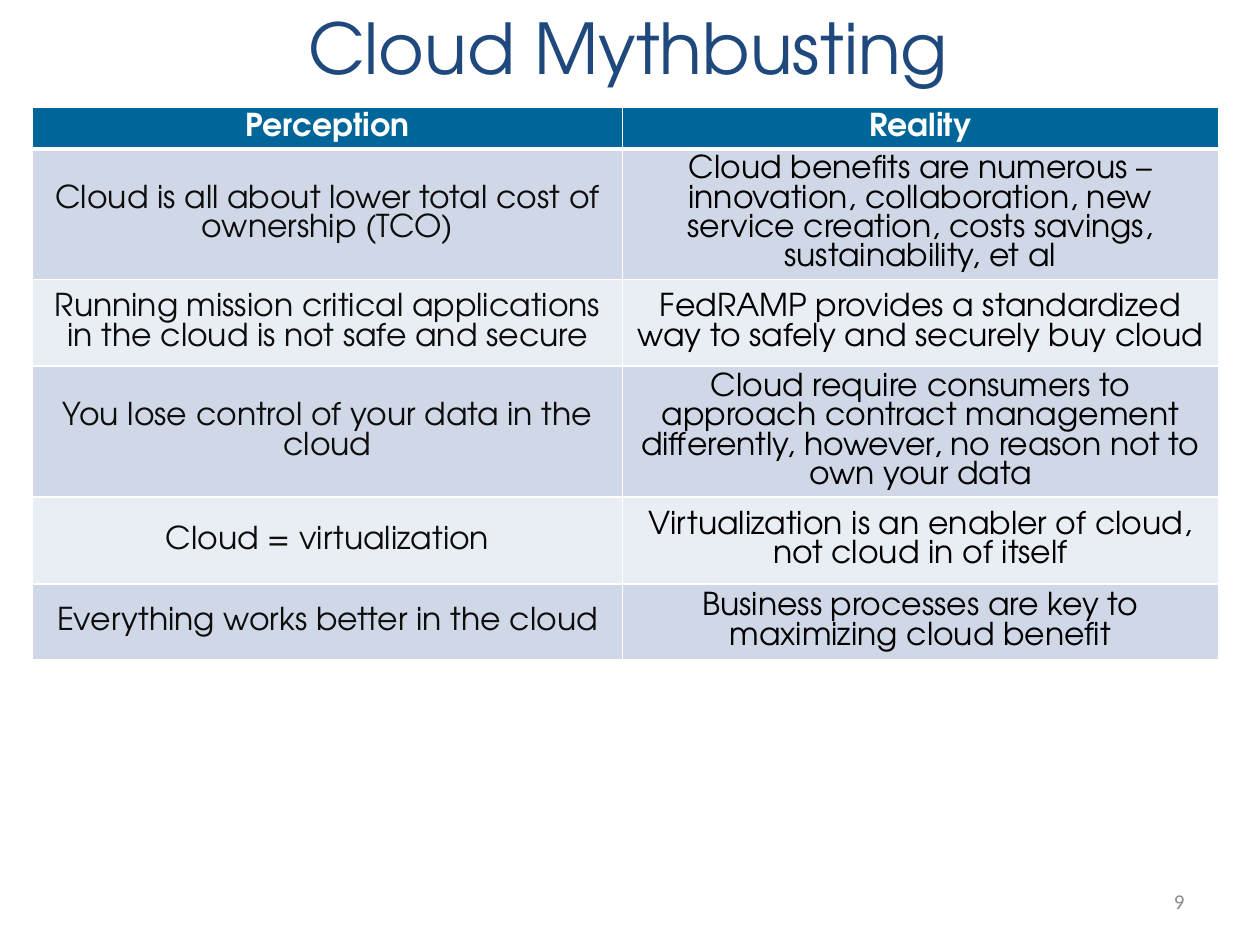
import pptx
import pptx.dml.color
import pptx.enum.text
import pptx.oxml
import pptx.oxml.ns
import pptx.util
from pptx.util import Inches

CENTER = pptx.enum.text.PP_ALIGN.CENTER
RIGHT = pptx.enum.text.PP_ALIGN.RIGHT
MIDDLE = pptx.enum.text.MSO_ANCHOR.MIDDLE
TOP = pptx.enum.text.MSO_ANCHOR.TOP


def color(hex_value):
    return pptx.dml.color.RGBColor.from_string(hex_value)


class MythSlide:
    heading_font = "TeX Gyre Adventor"
    number_font = "Calibri"
    header_fill = "006699"
    band_fills = ("D0D8E8", "E9EDF4")
    rule_color = "FFFFFF"
    column_inks = ("0D0D0D", "000000")

    def __init__(self, deck):
        self.slide = deck.slides.add_slide(deck.slide_layouts[5])

    def set_text(self, frame, text, size, ink, font=heading_font, align=CENTER, bold=False):
        frame.word_wrap = True
        paragraph = frame.paragraphs[0]
        paragraph.text = text
        paragraph.alignment = align
        paragraph.font.name = font
        paragraph.font.size = pptx.util.Pt(size)
        paragraph.font.bold = bold
        paragraph.font.color.rgb = color(ink)
        return paragraph

    def title(self, text, left, top, width, height):
        heading = self.slide.shapes.title
        heading.left, heading.top = Inches(left), Inches(top)
        heading.width, heading.height = Inches(width), Inches(height)
        heading.text_frame.vertical_anchor = MIDDLE
        self.set_text(heading.text_frame, text, 40, "1F497D")

    def page_number(self, text, left, top, width, height):
        box = self.slide.shapes.add_textbox(
            Inches(left), Inches(top), Inches(width), Inches(height))
        box.text_frame.vertical_anchor = MIDDLE
        self.set_text(box.text_frame, text, 12, "8C8C8C", self.number_font, RIGHT)

    def border(self, cell, side, points):
        properties = cell._tc.get_or_add_tcPr()
        properties.append(pptx.oxml.parse_xml(
            f'<a:{side} {pptx.oxml.ns.nsdecls("a")} w="{pptx.util.Pt(points)}">'
            f'<a:solidFill><a:srgbClr val="{self.rule_color}"/></a:solidFill></a:{side}>'))

    def cell(self, cell, text, row, column):
        is_header = row == 0
        top_rule = 3 if row == 1 else 1
        bottom_rule = 3 if is_header else 1
        for side, points in (("lnL", 1), ("lnR", 1), ("lnT", top_rule), ("lnB", bottom_rule)):
            self.border(cell, side, points)
        cell.fill.solid()
        cell.fill.fore_color.rgb = color(
            self.header_fill if is_header else self.band_fills[(row - 1) % 2])
        cell.vertical_anchor = TOP if is_header else MIDDLE
        ink = "FFFFFF" if is_header else self.column_inks[column]
        paragraph = self.set_text(cell.text_frame, text, 18, ink, bold=is_header)
        if not is_header and column == 0:
            paragraph.space_before = pptx.util.Pt(6)
            paragraph.space_after = pptx.util.Pt(12)

    def table(self, entries, left, top, widths, heights):
        grid = self.slide.shapes.add_table(
            len(heights), len(widths), Inches(left), Inches(top),
            Inches(sum(widths)), Inches(sum(heights))).table
        for column, width in zip(grid.columns, widths):
            column.width = Inches(width)
        for row, height in zip(grid.rows, heights):
            row.height = Inches(height)
        for row, texts in enumerate(entries):
            for column, text in enumerate(texts):
                self.cell(grid.cell(row, column), text, row, column)


MYTHS = [
    ("Perception", "Reality"),
    ("Cloud is all about lower total cost of ownership (TCO)",
     "Cloud benefits are numerous – innovation, collaboration, new service creation, "
     "costs savings, sustainability, et al"),
    ("Running mission critical applications in the cloud is not safe and secure",
     "FedRAMP provides a standardized way to safely and securely buy cloud"),
    ("You lose control of your data in the cloud",
     "Cloud require consumers to approach contract management differently, however, "
     "no reason not to own your data"),
    ("Cloud = virtualization",
     "Virtualization is an enabler of cloud, not cloud in of itself"),
    ("Everything works better in the cloud",
     "Business processes are key to maximizing cloud benefit"),
]


def main():
    deck = pptx.Presentation()
    deck.slide_width, deck.slide_height = Inches(10), Inches(7.5)
    myths = MythSlide(deck)
    myths.title("Cloud Mythbusting", 0, -0.13, 9.97, 1)
    myths.table(MYTHS, 0.26, 0.85, (4.68, 4.73), (0.32, 1.03, 0.69, 1.04, 0.69, 0.6))
    myths.page_number("9", 7.17, 6.95, 2.33, 0.4)
    deck.save("out.pptx")


if __name__ == "__main__":
    main()
